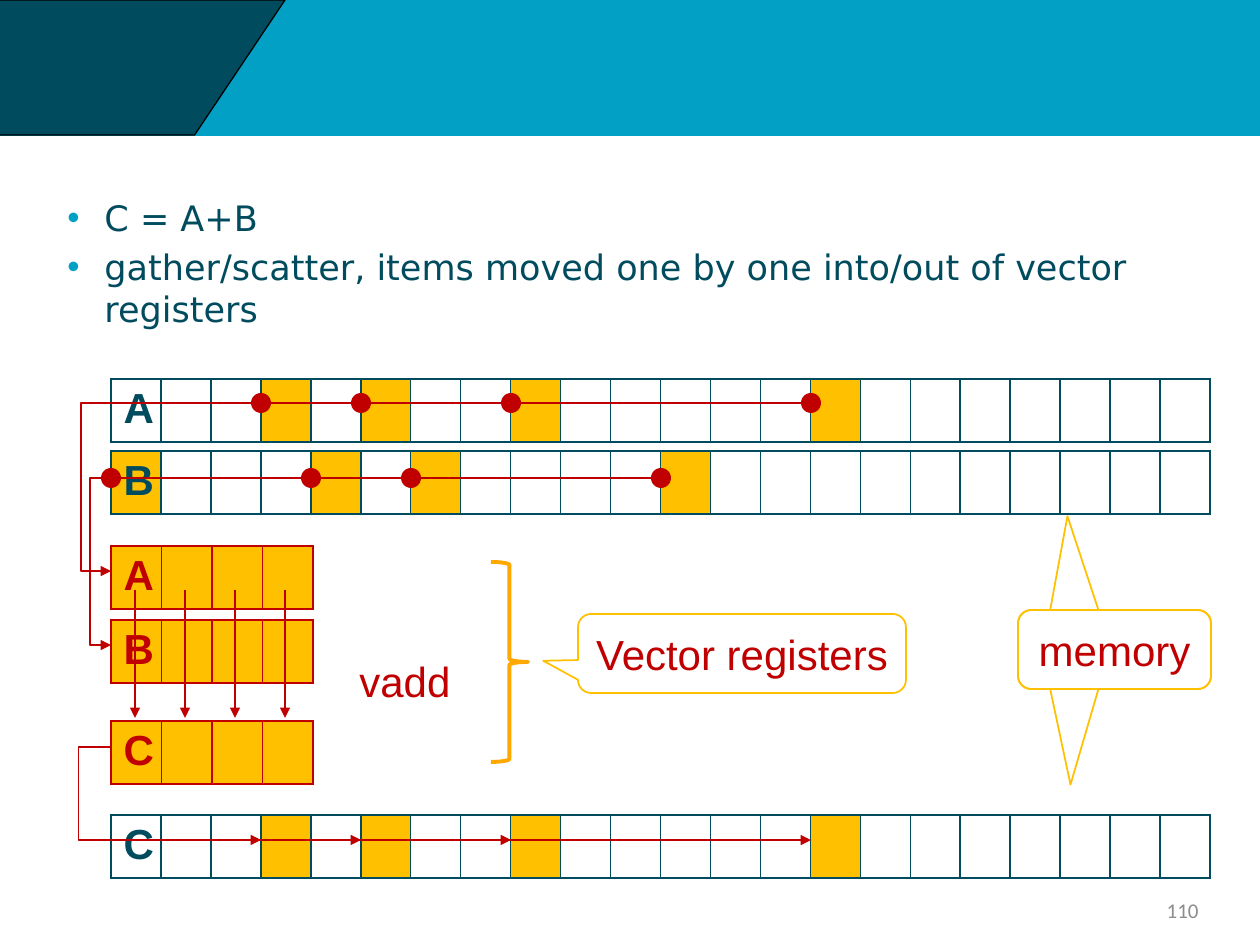
from dataclasses import dataclass
from lxml.etree import SubElement
from pptx import Presentation
from pptx.dml.color import RGBColor
from pptx.enum.shapes import MSO_CONNECTOR, MSO_SHAPE
from pptx.enum.text import MSO_ANCHOR, PP_ALIGN
from pptx.oxml.ns import qn
from pptx.util import Emu, Pt


@dataclass(frozen=True)
class Theme:
    banner: str = "03A0C5"
    dark: str = "004C5E"
    red: str = "C00000"
    gold: str = "FFC000"
    brace: str = "FFA800"
    black: str = "000000"
    grey: str = "8C8C8C"
    body_font: str = "DejaVu Sans"
    label_font: str = "Arial"
    number_font: str = "Calibri"
    body_size: int = 20
    label_size: int = 24
    number_size: int = 12
    thin: float = 0.75
    border: float = 1
    thick: float = 2.25


T = Theme()

# Content
BULLETS = [
    "C = A+B",
    "gather/scatter, items moved one by one into/out of vector registers",
]
LEFT, COLUMN, ROW_HEIGHT = 111, 50, 52
VECTOR_LENGTH, REGISTER_LENGTH = 22, 4
MEMORY = [  # name, top, cells in use
    ("A", 379, (3, 5, 8, 14)),
    ("B", 451, (0, 4, 6, 11)),
    ("C", 815, (3, 5, 8, 14)),
]
REGISTERS = [("A", 546), ("B", 620), ("C", 721)]
GATHERS = [  # cells, line height in memory, in register, leftmost x
    (MEMORY[0][2], 403, 571, 81),
    (MEMORY[1][2], 478, 645, 90),
]
SCATTER = (MEMORY[2][2], 747, 840, 79)
DOT = 20
CALLOUTS = [  # text, box, tail
    ("memory", (1018, 610, 193, 79), (-0.244, -1.688)),
    ("", (1018, 610, 193, 79), (-0.228, 1.71)),
    ("Vector registers", (578, 614, 328, 79), (-0.606, 0.092)),
]


def px(value):
    return Emu(round(value * 914400 / 126))


def rgb(color):
    return RGBColor.from_string(color)


def cell_edge(index):
    return LEFT + COLUMN * index


def add_run(paragraph, text, size, font, color, bold=False):
    run = paragraph.add_run()
    run.text = text
    run.font.size, run.font.name, run.font.bold = Pt(size), font, bold
    run.font.color.rgb = rgb(color)


def add_box(kind, box, fill=None, line=None, width=T.thin):
    shape = slide.shapes.add_shape(kind, *map(px, box))
    shape.shadow.inherit = False
    if fill:
        shape.fill.solid()
        shape.fill.fore_color.rgb = rgb(fill)
    else:
        shape.fill.background()
    if line:
        shape.line.color.rgb = rgb(line)
        shape.line.width = Pt(width)
    else:
        shape.line.fill.background()
    return shape


def add_text(box):
    frame = slide.shapes.add_textbox(*map(px, box)).text_frame
    frame.word_wrap = True
    return frame


def add_vector(name, top, length, width, used, color):
    table = slide.shapes.add_table(
        1, length, px(LEFT), px(top), px(width), px(ROW_HEIGHT)).table
    table.first_row = table.horz_banding = False
    for index, cell in enumerate(table.rows[0].cells):
        table.columns[index].width = px(width / length)
        properties = cell._tc.get_or_add_tcPr()
        for side in ("a:lnL", "a:lnR", "a:lnT", "a:lnB"):
            border = SubElement(properties, qn(side), w=str(Pt(T.border)))
            SubElement(SubElement(border, qn("a:solidFill")), qn("a:srgbClr"), val=color)
        if index in used:
            cell.fill.solid()
            cell.fill.fore_color.rgb = rgb(T.gold)
        else:
            cell.fill.background()
    add_run(table.cell(0, 0).text_frame.paragraphs[0], name,
            T.label_size, T.label_font, color, bold=True)


def add_arrow(start, end, bend_x=None):
    kind = MSO_CONNECTOR.STRAIGHT if bend_x is None else MSO_CONNECTOR.ELBOW
    arrow = slide.shapes.add_connector(kind, *map(px, start + end))
    arrow.line.color.rgb = rgb(T.red)
    arrow.line.width = Pt(T.thin)
    SubElement(arrow.line._get_or_add_ln(), qn("a:tailEnd"), type="triangle")
    properties = arrow._element.spPr
    SubElement(properties, qn("a:effectLst"))
    if bend_x is not None:
        bend = round((bend_x - start[0]) / (end[0] - start[0]) * 100000)
        guides = properties.find(qn("a:prstGeom")).find(qn("a:avLst"))
        SubElement(guides, qn("a:gd"), name="adj1", fmla=f"val {bend}")


prs = Presentation()
prs.slide_width, prs.slide_height = px(1260), px(945)
slide = prs.slides.add_slide(prs.slide_layouts[6])

# Banner
add_box(MSO_SHAPE.RECTANGLE, (0, 0, 1260, 135), T.banner, T.banner)
corner = add_box(MSO_SHAPE.TRAPEZOID, (-285, 0, 570, 135), T.dark, T.black)
corner.adjustments[0] = 0.67
corner.rotation = 180

# Slide number
number = add_text((917, 885, 294, 50))
number.vertical_anchor = MSO_ANCHOR.MIDDLE
number.paragraphs[0].alignment = PP_ALIGN.RIGHT
add_run(number.paragraphs[0], "110", T.number_size, T.number_font, T.grey)

# Bullets
body = add_text((55, 190, 1156, 170))
for index, text in enumerate(BULLETS):
    paragraph = body.add_paragraph() if index else body.paragraphs[0]
    properties = paragraph._p.get_or_add_pPr()
    properties.set("marL", str(px(37)))
    properties.set("indent", str(px(-37)))
    SubElement(SubElement(properties, qn("a:buClr")), qn("a:srgbClr"), val=T.banner)
    SubElement(properties, qn("a:buFont"), typeface=T.label_font)
    SubElement(properties, qn("a:buChar"), char="•")
    paragraph.space_before = Pt(2 if index else 0)
    paragraph.space_after = Pt(2)
    add_run(paragraph, text, T.body_size, T.body_font, T.dark)

# Memory vectors and registers
for name, top, used in MEMORY:
    add_vector(name, top, VECTOR_LENGTH, COLUMN * VECTOR_LENGTH, used, T.dark)
for name, top in REGISTERS:
    add_vector(name, top, REGISTER_LENGTH, 202, range(REGISTER_LENGTH), T.red)

# Operation
add_run(add_text((347, 649, 126, 60)).paragraphs[0], "vadd",
        T.label_size, T.label_font, T.red)
for index in range(REGISTER_LENGTH):
    center = cell_edge(index) + COLUMN // 2 - 1
    add_arrow((center, 590), (center, 718))

# Gather into registers
for cells, memory_y, register_y, bend_x in GATHERS:
    add_arrow((cell_edge(cells[-1]), memory_y), (LEFT, register_y), bend_x)
    for cell in cells:
        add_box(MSO_SHAPE.OVAL, (cell_edge(cell) - DOT / 2, memory_y - DOT / 2, DOT, DOT), T.red)

# Scatter back to memory
cells, register_y, memory_y, bend_x = SCATTER
add_arrow((LEFT, register_y), (cell_edge(cells[-1]), memory_y), bend_x)
for cell in cells[:-1]:
    add_arrow((cell_edge(cell) - 15, memory_y), (cell_edge(cell), memory_y))

# Brace and callouts
add_box(MSO_SHAPE.RIGHT_BRACE, (491, 562, 37, 200), line=T.brace, width=T.thick)
for text, box, tail in CALLOUTS:
    callout = add_box(MSO_SHAPE.ROUNDED_RECTANGULAR_CALLOUT, box, line=T.gold, width=T.border)
    callout.adjustments[0], callout.adjustments[1] = tail
    if text:
        frame = callout.text_frame
        frame.margin_left = frame.margin_right = px(10)
        frame.margin_top = frame.margin_bottom = px(6)
        frame.vertical_anchor = MSO_ANCHOR.MIDDLE
        frame.paragraphs[0].alignment = PP_ALIGN.CENTER
        add_run(frame.paragraphs[0], text, T.label_size, T.label_font, T.red)

prs.save("out.pptx")
